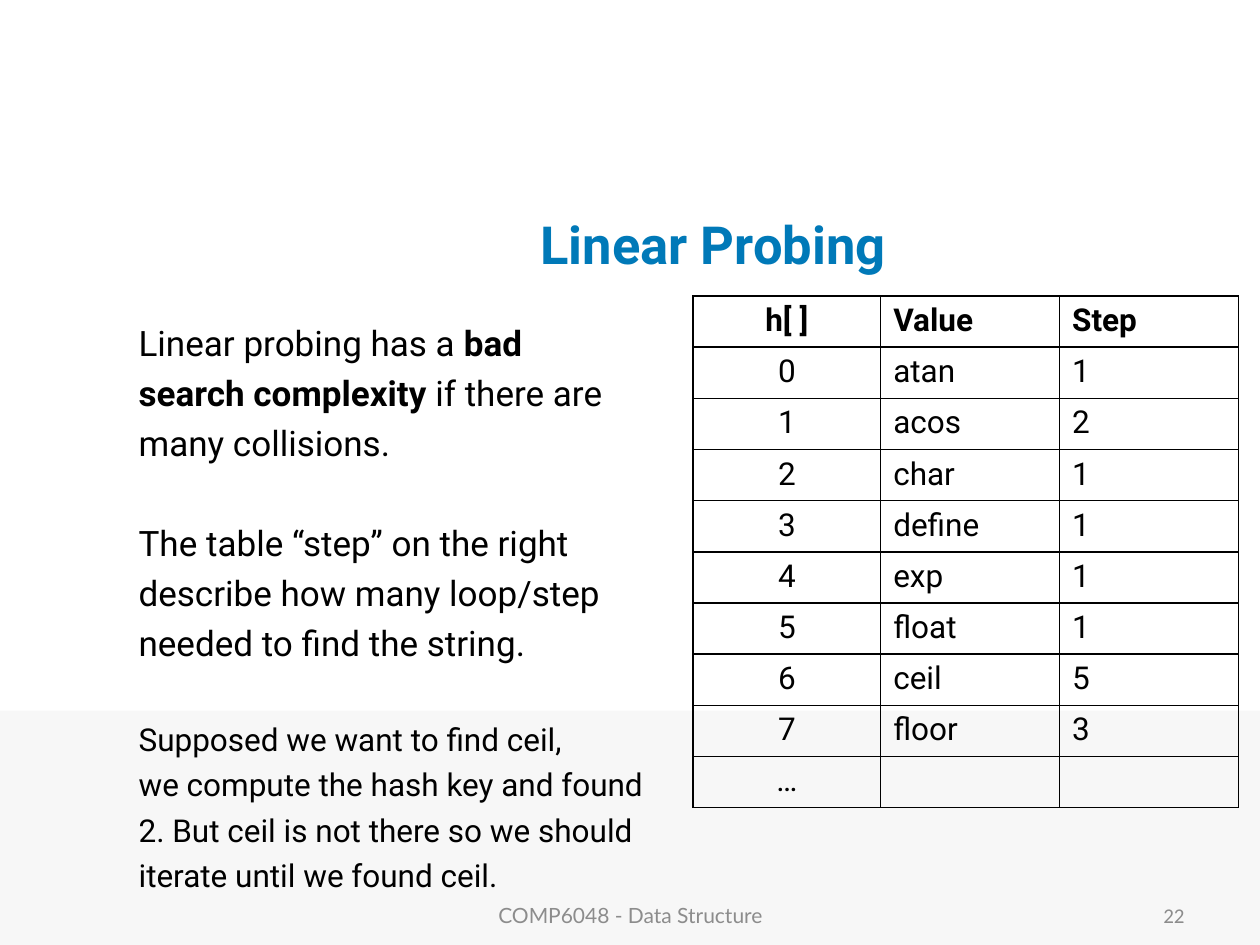
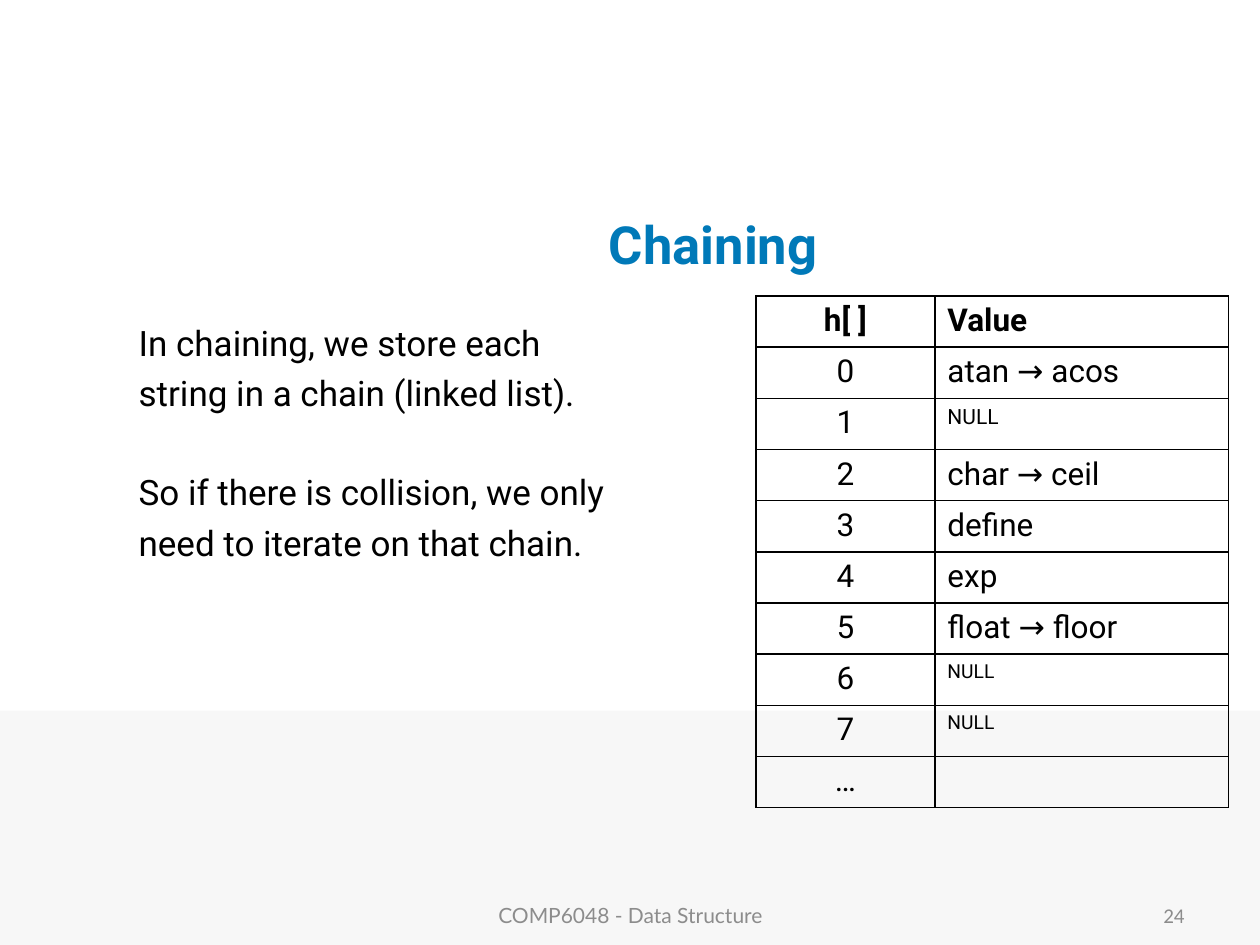
from lxml import etree
from pptx import Presentation
from pptx.dml.color import RGBColor
from pptx.enum.shapes import MSO_SHAPE
from pptx.enum.text import MSO_ANCHOR, MSO_AUTO_SIZE, PP_ALIGN
from pptx.oxml.ns import qn
from pptx.util import Inches, Pt

LEFT, CENTER, RIGHT = PP_ALIGN.LEFT, PP_ALIGN.CENTER, PP_ALIGN.RIGHT
MIDDLE, TOP = MSO_ANCHOR.MIDDLE, MSO_ANCHOR.TOP
RECTANGLE = MSO_SHAPE.RECTANGLE
NO_AUTOFIT = MSO_AUTO_SIZE.NONE

COLORS = {"title": "0079B8", "text": "000000", "band": "F7F7F7",
          "footer": "8C8C8C", "border": "000000"}
FONT = "Roboto"
LINE_HEIGHT = 1.17
LINE_GAP = 0.2
ROW_HEIGHT = 0.406


class Deck:
    def __init__(self):
        self.prs = Presentation()
        self.prs.slide_width, self.prs.slide_height = Inches(10), Inches(7.5)
        self.slide = None

    @staticmethod
    def style(paragraph, size, color="text", font=FONT, bold=False, align=LEFT):
        paragraph.alignment = align
        for run in paragraph.runs:
            run.font.size = Pt(size)
            run.font.name = font
            run.font.bold = bold
            run.font.color.rgb = RGBColor.from_string(COLORS[color])

    @staticmethod
    def place(shape, left, top, width, height):
        shape.left, shape.top = Inches(left), Inches(top)
        shape.width, shape.height = Inches(width), Inches(height)

    def new_slide(self, heading, number):
        self.slide = self.prs.slides.add_slide(self.prs.slide_layouts[1])
        self.band()
        self.title(heading)
        self.footer("COMP6048 - Data Structure", 3.42, 3.17, "Lato", CENTER)
        self.footer(str(number), 7.17, 2.33, "Calibri", RIGHT)

    def band(self):
        band = self.slide.shapes.add_shape(
            RECTANGLE, 0, Inches(5.64), Inches(10), Inches(1.86))
        band.shadow.inherit = False
        band.fill.solid()
        band.fill.fore_color.rgb = RGBColor.from_string(COLORS["band"])
        band.line.fill.background()
        # Behind the placeholders
        self.slide.shapes._spTree.insert(2, band._element)

    def title(self, text):
        title = self.slide.shapes.title
        self.place(title, 1.92, 1.5, 7.48, 0.87)
        frame = title.text_frame
        frame.text = text
        frame.auto_size = NO_AUTOFIT
        frame.vertical_anchor = MIDDLE
        self.style(frame.paragraphs[0], 30, "title", bold=True, align=CENTER)

    def footer(self, text, left, width, font, align):
        box = self.slide.shapes.add_textbox(
            Inches(left), Inches(7.06), Inches(width), Inches(0.4))
        frame = box.text_frame
        frame.word_wrap = True
        frame.vertical_anchor = MIDDLE
        frame.text = text
        self.style(frame.paragraphs[0], 12, "footer", font, align=align)

    def body(self, width, blocks):
        """Fill the body with (size, lines) blocks; *stars* mark bold words."""
        body = self.slide.placeholders[1]
        self.place(body, 1, 2.5, width, 4.07)
        frame = body.text_frame
        frame.auto_size = NO_AUTOFIT
        frame.vertical_anchor = TOP
        block_gap = 20 * LINE_HEIGHT * (1 + LINE_GAP)
        for block_index, (size, lines) in enumerate(blocks):
            for line_index, line in enumerate(lines):
                first = block_index == line_index == 0
                paragraph = frame.paragraphs[0] if first else frame.add_paragraph()
                properties = paragraph._p.get_or_add_pPr()
                properties.set("marL", str(Inches(0.38)))
                properties.set("indent", str(-Inches(0.38)))
                etree.SubElement(properties, qn("a:buNone"))
                space = size * LINE_HEIGHT * LINE_GAP
                if line_index == 0:
                    space += block_gap
                paragraph.space_before = Pt(0 if first else round(space, 1))
                pieces = line.split("*")
                for piece in filter(None, pieces):
                    paragraph.add_run().text = piece
                self.style(paragraph, size)
                for run in paragraph.runs:
                    run.font.bold = run.text in pieces[1::2]

    @staticmethod
    def border(cell):
        properties = cell._tc.get_or_add_tcPr()
        for side in ("lnL", "lnR", "lnT", "lnB"):
            line = etree.SubElement(properties, qn(f"a:{side}"), w=str(Pt(1)))
            fill = etree.SubElement(line, qn("a:solidFill"))
            etree.SubElement(fill, qn("a:srgbClr"), val=COLORS["border"])

    def table(self, left, widths, rows, small_sizes=None):
        """Draw a hash table; small_sizes maps a row index to its value size."""
        small_sizes = small_sizes or {}
        table = self.slide.shapes.add_table(
            len(rows), len(widths), Inches(left), Inches(2.35),
            Inches(sum(widths)), Inches(ROW_HEIGHT * len(rows))).table
        table.first_row = table.horz_banding = False
        for column, width in zip(table.columns, widths):
            column.width = Inches(width)
        for r, values in enumerate(rows):
            table.rows[r].height = Inches(ROW_HEIGHT)
            for c, value in enumerate(values):
                cell = table.cell(r, c)
                self.border(cell)
                cell.fill.background()
                cell.text = value
                size = small_sizes.get(r, 18) if c else 18
                self.style(cell.text_frame.paragraphs[0], size, bold=r == 0,
                           align=LEFT if c else CENTER)


def linear_probing(deck):
    deck.new_slide("Linear Probing", 22)
    deck.body(4.42, [
        (20, ["Linear probing has a *bad*",
              "*search complexity* if there are",
              "many collisions."]),
        (20, ["The table “step” on the right",
              "describe how many loop/step",
              "needed to find the string."]),
        (18, ["Supposed we want to find ceil,",
              "we compute the hash key and found",
              "2. But ceil is not there so we should",
              "iterate until we found ceil."]),
    ])
    entries = [("atan", "1"), ("acos", "2"), ("char", "1"), ("define", "1"),
               ("exp", "1"), ("float", "1"), ("ceil", "5"), ("floor", "3")]
    rows = [(str(key), *entry) for key, entry in enumerate(entries)]
    deck.table(5.5, [1.49, 1.42, 1.42],
               [("h[ ]", "Value", "Step"), *rows, ("…", "", "")])


def chaining(deck):
    deck.new_slide("Chaining", 24)
    deck.body(8.58, [
        (20, ["In chaining, we store each",
              "string in a chain (linked list)."]),
        (20, ["So if there is collision, we only",
              "need to iterate on that chain."]),
    ])
    chains = ["atan → acos", "NULL", "char → ceil", "define", "exp",
              "float → floor", "NULL", "NULL"]
    rows = [(str(key), chain) for key, chain in enumerate(chains)]
    deck.table(6, [1.42, 2.33], [("h[ ]", "Value"), *rows, ("…", "")],
               small_sizes={2: 12, 7: 11, 8: 11})


def main():
    deck = Deck()
    linear_probing(deck)
    chaining(deck)
    deck.prs.save("out.pptx")


if __name__ == "__main__":
    main()
